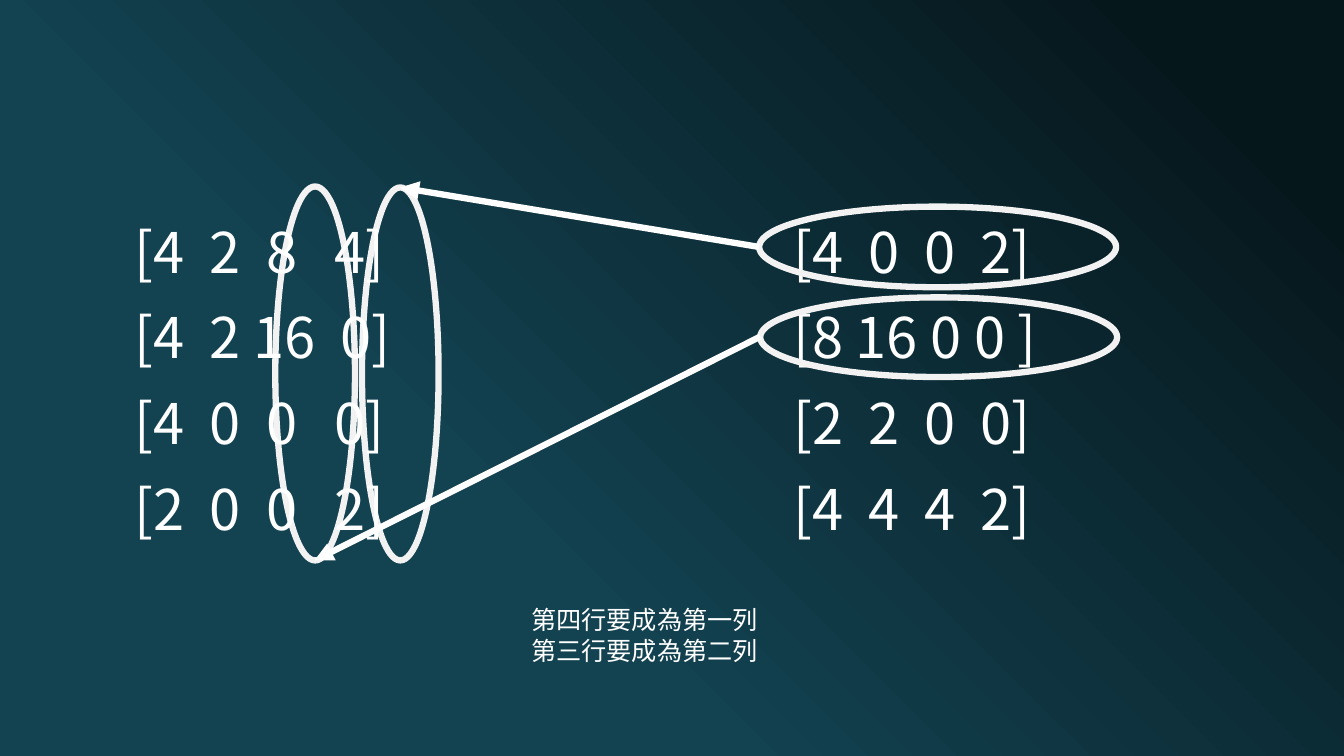
from dataclasses import dataclass

from lxml import etree
from pptx import Presentation
from pptx.dml.color import RGBColor
from pptx.enum import shapes, text
from pptx.oxml import ns
from pptx.util import Inches, Pt


@dataclass(frozen=True)
class Theme:
    """Colours, fonts and sizes of the slide."""
    dark: RGBColor = RGBColor(0x06, 0x17, 0x1C)
    teal: RGBColor = RGBColor(0x13, 0x42, 0x51)
    white: RGBColor = RGBColor(0xFF, 0xFF, 0xFF)
    ring: RGBColor = RGBColor(0xF2, 0xF2, 0xF2)
    matrix_font: str = "Noto Sans CJK SC"
    caption_font: str = "Quicksand"
    matrix_size: int = 40
    caption_size: int = 18
    line_width: float = 4.5


THEME = Theme()


def paint_background(page):
    """Fill the page with a gradient that is dark at the top right."""
    fill = page.background.fill
    fill.gradient()
    fill.gradient_angle = 225
    stops = ((0.1, THEME.dark), (0.65, THEME.teal))
    for stop, (position, colour) in zip(fill.gradient_stops, stops):
        stop.position = position
        stop.color.rgb = colour


def add_lines(page, area, lines, font, size, wrap=True):
    """Add a text box with one paragraph per line and return its frame."""
    box = page.shapes.add_textbox(*map(Inches, area))
    frame = box.text_frame
    frame.word_wrap = wrap
    frame.auto_size = text.MSO_AUTO_SIZE.SHAPE_TO_FIT_TEXT
    frame.text = "\n".join(lines)
    for para in frame.paragraphs:
        for span in para.runs:
            span.font.name = font
            span.font.size = Pt(size)
            span.font.color.rgb = THEME.white
    return frame


def add_matrix(page, left, rows):
    """Add a matrix written as bracketed rows."""
    frame = add_lines(page, (left, 2.18, 3.39, 3.28), rows,
                      THEME.matrix_font, THEME.matrix_size)
    for para in frame.paragraphs:
        para.line_spacing = 0.9
        para.space_before = Pt(18)


def add_ring(page, area, rotation=0):
    """Add an unfilled ellipse around a row or column."""
    ring = page.shapes.add_shape(shapes.MSO_SHAPE.OVAL, *map(Inches, area))
    ring.shadow.inherit = False
    ring.rotation = rotation
    ring.fill.background()
    ring.line.color.rgb = THEME.ring
    ring.line.width = Pt(THEME.line_width)


def add_arrow(page, start, end):
    """Add a straight line with a triangle head at its end."""
    arrow = page.shapes.add_connector(
        shapes.MSO_CONNECTOR.STRAIGHT, *map(Inches, start + end))
    arrow.line.color.rgb = THEME.white
    arrow.line.width = Pt(THEME.line_width)
    etree.SubElement(arrow.line._get_or_add_ln(), ns.qn("a:tailEnd"), type="triangle")
    etree.SubElement(arrow._element.spPr, ns.qn("a:effectLst"))


def main():
    """Build the slide and save it."""
    deck = Presentation()
    deck.slide_width, deck.slide_height = Inches(13.33), Inches(7.5)
    page = deck.slides.add_slide(deck.slide_layouts[6])
    paint_background(page)

    add_matrix(page, 7.77, ["[4  0  0  2]", "[8 16 0 0 ]", "[2  2  0  0]", "[4  4  4  2]"])
    add_lines(page, (5.17, 5.95, 2.47, 0.71),
              ["第四行要成為第一列", "第三行要成為第二列"],
              THEME.caption_font, THEME.caption_size, wrap=False)
    add_ring(page, (1.27, 3.31, 3.71, 0.79), rotation=90)
    add_ring(page, (2.12, 3.33, 3.7, 0.76), rotation=90)
    add_ring(page, (7.53, 2.05, 3.54, 0.8))
    add_ring(page, (7.54, 2.95, 3.54, 0.79))
    add_matrix(page, 1.24, ["[4  2  8   4]", "[4  2 16  0]", "[4  0  0   0]", "[2  0  0   2]"])
    add_arrow(page, (7.53, 2.45), (3.97, 1.86))
    add_arrow(page, (7.54, 3.34), (3.12, 5.56))

    deck.save("out.pptx")


if __name__ == "__main__":
    main()
